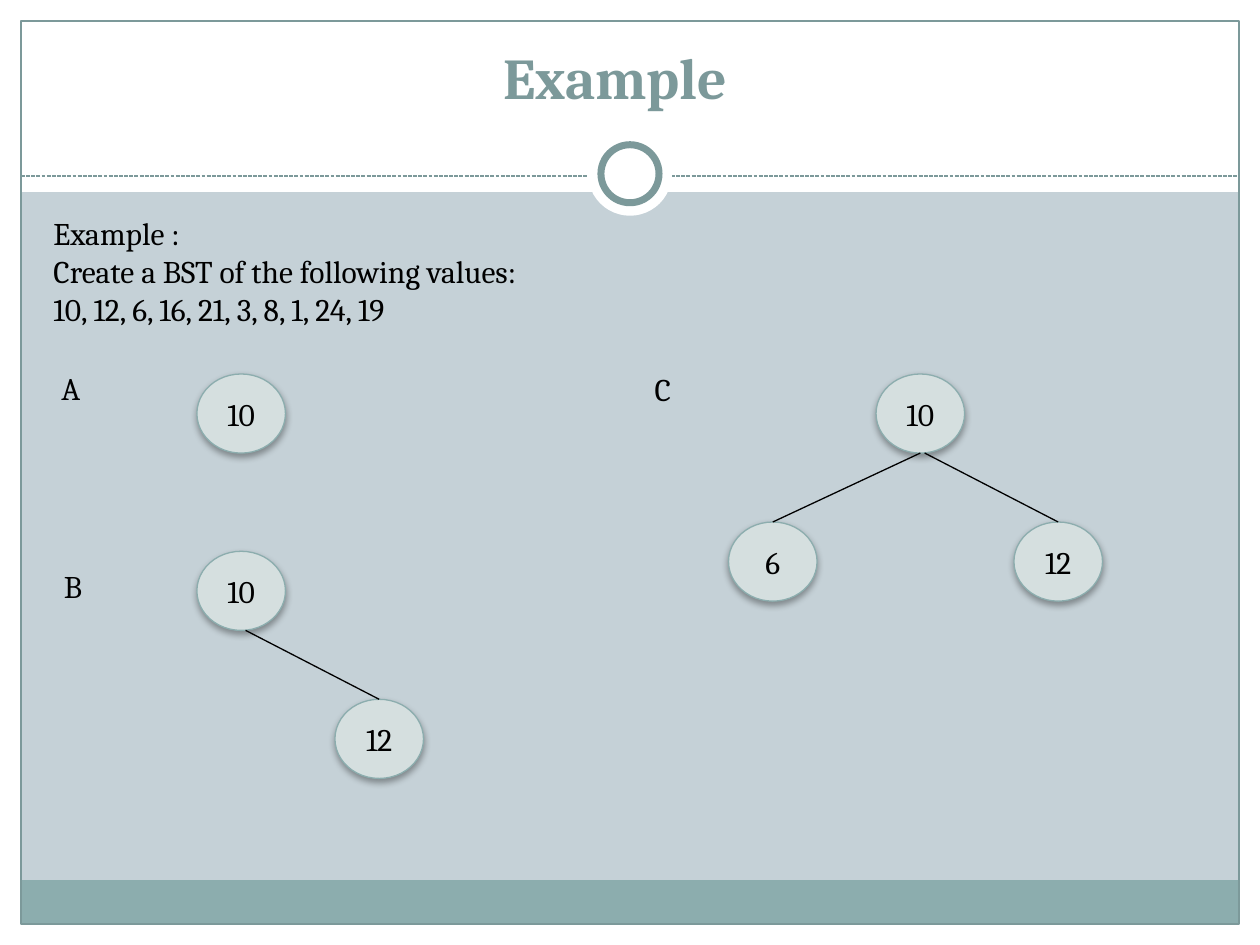
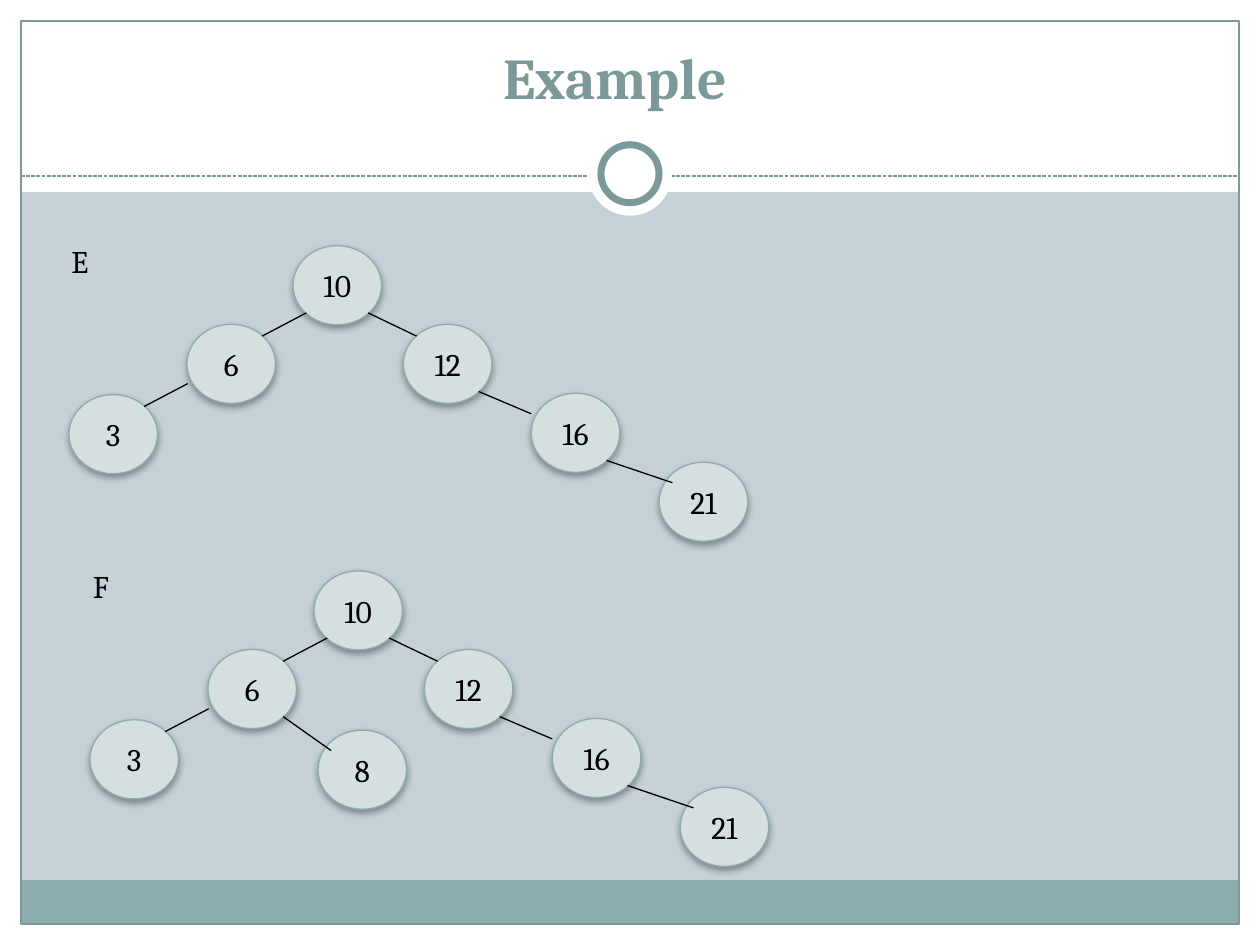
from lxml import etree
from pptx import Presentation
from pptx.dml.color import RGBColor
from pptx.enum import dml, shapes, text
from pptx.oxml import ns
from pptx.util import Pt

FONT = "Cambria"
WHITE, BLACK = "FFFFFF", "000000"
BACKDROP, BAND, ACCENT, NODE_FILL = "C5D1D7", "8CADAE", "7C999A", "D5DFDF"
WIDTH, HEIGHT, MARGIN = 720, 540, 12
NODE_W, NODE_H = 50.6, 45.2

BOTTOM_MID, BOTTOM_RIGHT_OF_MID, TOP_MID = (0.5, 1), (0.55, 1), (0.5, 0)
LOWER_LEFT, LOWER_RIGHT = (0.15, 0.85), (0.85, 0.85)
UPPER_LEFT, UPPER_RIGHT = (0.15, 0.15), (0.85, 0.15)

LONE_ROOT = {10: (0, 0)}
ROOT_AND_RIGHT = {10: (0, 0), 12: (78.9, 84.6)}
RIGHT_EDGE = [(10, 12, BOTTOM_RIGHT_OF_MID, TOP_MID)]
THREE_NODES = {10: (84.3, 0), 12: (163.1, 84.6), 6: (0, 84.6)}
THREE_EDGES = RIGHT_EDGE + [(10, 6, BOTTOM_MID, TOP_MID)]
SIX_NODES = {
    10: (128, 0), 12: (191.1, 44.9), 6: (67.4, 44.9),
    16: (264.2, 84.3), 21: (337.3, 123.7), 3: (0, 85.1),
}
SIX_EDGES = [
    (10, 12, LOWER_RIGHT, UPPER_LEFT),
    (10, 6, LOWER_LEFT, UPPER_RIGHT),
    (12, 16, LOWER_RIGHT, (0, 0.26)),
    (16, 21, LOWER_RIGHT, (0.15, 0.26)),
    (6, 3, (0.01, 0.75), UPPER_RIGHT),
]
SEVEN_NODES = {**SIX_NODES, 8: (130.3, 91)}
SEVEN_EDGES = SIX_EDGES + [(6, 8, LOWER_RIGHT, (0.15, 0.26))]


def color(value):
    return RGBColor.from_string(value)


def add_preset(slide, kind, box, fill=None, line=None, weight=0.75):
    shape = slide.shapes.add_shape(kind, *map(Pt, box))
    shape.shadow.inherit = False
    if fill:
        shape.fill.solid()
        shape.fill.fore_color.rgb = color(fill)
    else:
        shape.fill.background()
    if line:
        shape.line.color.rgb = color(line)
        shape.line.width = Pt(weight)
    else:
        shape.line.fill.background()
    return shape


def add_line(slide, start, end, line=BLACK):
    connector = slide.shapes.add_connector(
        shapes.MSO_CONNECTOR.STRAIGHT, *map(Pt, (*start, *end)))
    connector.line.color.rgb = color(line)
    connector.line.width = Pt(0.75)
    etree.SubElement(connector._element.spPr, ns.qn("a:effectLst"))
    return connector


def style(paragraph, size=18, ink=BLACK, bold=False, align=None):
    paragraph.font.name = FONT
    paragraph.font.size = Pt(size)
    paragraph.font.bold = bold
    paragraph.font.color.rgb = color(ink)
    paragraph.alignment = align


def add_text(slide, box, lines):
    frame = slide.shapes.add_textbox(*map(Pt, box)).text_frame
    frame.word_wrap = False
    frame.text = "\n".join(lines)
    for paragraph in frame.paragraphs:
        style(paragraph)


def add_frame(slide):
    rect, ellipse = shapes.MSO_SHAPE.RECTANGLE, shapes.MSO_SHAPE.OVAL
    inner_w, inner_h = WIDTH - 2 * MARGIN, HEIGHT - 2 * MARGIN
    for margin in [
        (0, HEIGHT - MARGIN, WIDTH, MARGIN),
        (0, 0, WIDTH, 109.7),
        (0, 0, MARGIN, HEIGHT),
        (WIDTH - MARGIN, 0, MARGIN, HEIGHT),
    ]:
        add_preset(slide, rect, margin, WHITE)
    add_preset(slide, rect, (MARGIN, 503, inner_w, 25), BAND)
    add_preset(slide, rect, (MARGIN, MARGIN, inner_w, inner_h), line=ACCENT)
    divider = add_line(slide, (MARGIN, 100.6), (WIDTH - MARGIN, 100.6), ACCENT)
    divider.line.dash_style = dml.MSO_LINE.SQUARE_DOT
    for size, outline in ((48, None), (33.2, ACCENT)):
        ring = ((WIDTH - size) / 2, 99.3 - size / 2, size, size)
        add_preset(slide, ellipse, ring, WHITE, outline, 4)


def share_frame(slide, layout):
    layout.background.fill.solid()
    layout.background.fill.fore_color.rgb = color(BACKDROP)
    for placeholder in list(layout.placeholders)[1:]:
        placeholder._element.getparent().remove(placeholder._element)
    add_frame(slide)
    for part in list(slide.shapes)[1:]:
        layout.shapes._spTree.append(part._element)


def set_title(slide, box, words):
    title = slide.shapes.title
    title.left, title.top, title.width, title.height = map(Pt, box)
    frame = title.text_frame
    frame.text = words
    frame.auto_size = text.MSO_AUTO_SIZE.NONE
    frame.vertical_anchor = text.MSO_ANCHOR.BOTTOM
    style(frame.paragraphs[0], 33, ACCENT, True, text.PP_ALIGN.CENTER)


def add_node(slide, left, top, value):
    node = add_preset(slide, shapes.MSO_SHAPE.OVAL,
                      (left, top, NODE_W, NODE_H), NODE_FILL, BAND)
    shadow = etree.SubElement(
        node._element.spPr.find(ns.qn("a:effectLst")), ns.qn("a:outerShdw"),
        blurRad=str(Pt(4)), dist=str(Pt(2)), dir="5400000", rotWithShape="0")
    tint = etree.SubElement(shadow, ns.qn("a:srgbClr"), val=BLACK)
    etree.SubElement(tint, ns.qn("a:alpha"), val="35000")
    frame = node.text_frame
    frame.word_wrap = False
    frame.vertical_anchor = text.MSO_ANCHOR.MIDDLE
    frame.text = str(value)
    style(frame.paragraphs[0], align=text.PP_ALIGN.CENTER)


def add_step(slide, letter, letter_at, tree_at, nodes, edges=()):
    left, top = tree_at
    add_text(slide, (*letter_at, 26.6, 29), [letter])
    for value, (x, y) in nodes.items():
        add_node(slide, left + x, top + y, value)

    def point_on(value, fraction):
        x, y = nodes[value]
        return left + x + fraction[0] * NODE_W, top + y + fraction[1] * NODE_H

    for parent, child, leaving, arriving in edges:
        add_line(slide, point_on(parent, leaving), point_on(child, arriving))


def main():
    deck = Presentation()
    deck.slide_width, deck.slide_height = Pt(WIDTH), Pt(HEIGHT)
    layout = deck.slide_layouts[5]
    first_steps, later_steps = [deck.slides.add_slide(layout) for _ in range(2)]
    share_frame(first_steps, layout)
    for slide in (first_steps, later_steps):
        set_title(slide, (129.6, 16.6, 444.2, 50.4), "Example")

    add_text(first_steps, (23.5, 118.8, 308, 72.7), [
        "Example :",
        "Create a BST of the following values:",
        "10, 12, 6, 16, 21, 3, 8, 1, 24, 19",
    ])
    add_step(first_steps, "A", (28, 207.4), (112.5, 213.7), LONE_ROOT)
    add_step(first_steps, "B", (29.5, 320.4), (112.5, 315),
             ROOT_AND_RIGHT, RIGHT_EDGE)
    add_step(first_steps, "C", (367, 208), (416.3, 213.7),
             THREE_NODES, THREE_EDGES)

    add_step(later_steps, "E", (33.8, 134.6), (39.4, 140.4),
             SIX_NODES, SIX_EDGES)
    add_step(later_steps, "F", (46, 320.4), (51.4, 326.2),
             SEVEN_NODES, SEVEN_EDGES)
    deck.save("out.pptx")


if __name__ == "__main__":
    main()
